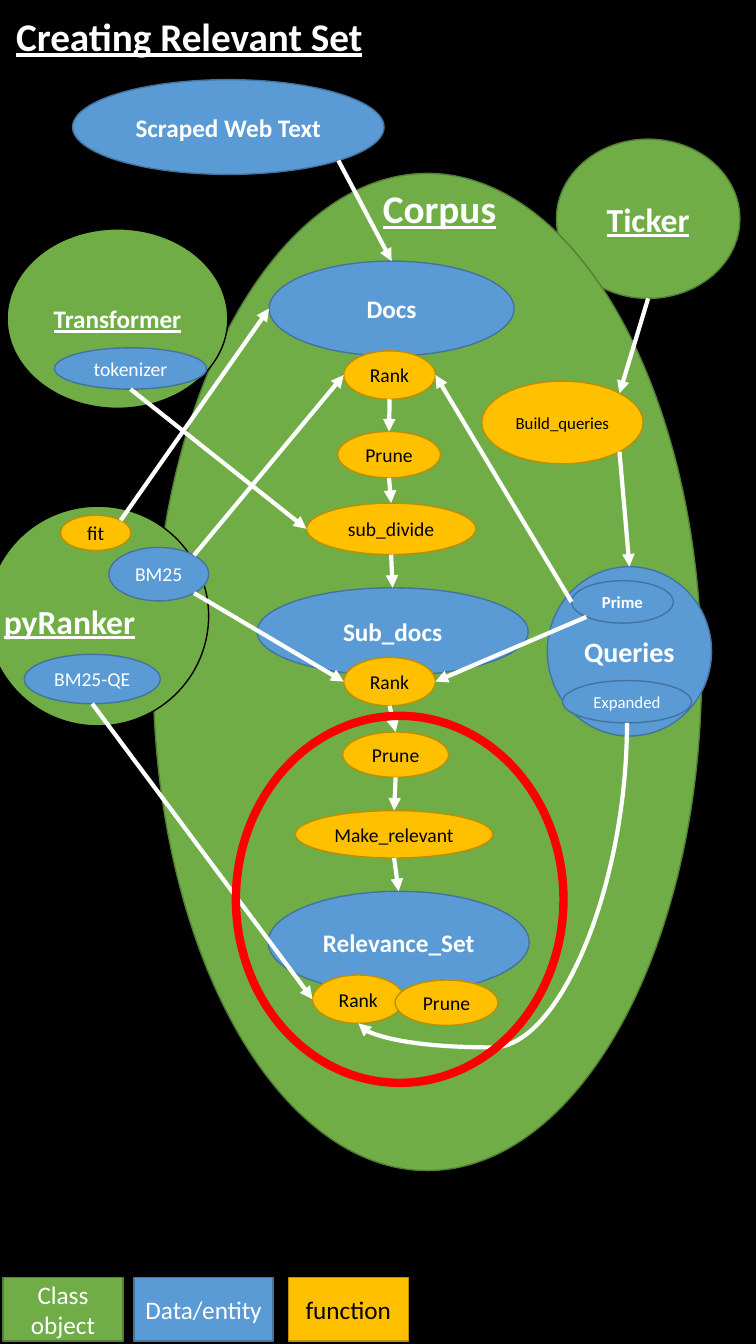
from dataclasses import dataclass
from math import sqrt

from lxml import etree
from pptx import Presentation
from pptx.dml.color import RGBColor
from pptx.enum.shapes import MSO_CONNECTOR, MSO_SHAPE
from pptx.enum.text import MSO_ANCHOR, MSO_AUTO_SIZE, PP_ALIGN
from pptx.oxml.ns import qn
from pptx.util import Inches, Pt

ELLIPSE, RECTANGLE = MSO_SHAPE.OVAL, MSO_SHAPE.RECTANGLE
STRAIGHT, CURVE = MSO_CONNECTOR.STRAIGHT, MSO_CONNECTOR.CURVE
CENTER, LEFT = PP_ALIGN.CENTER, PP_ALIGN.LEFT
TOP, MIDDLE = MSO_ANCHOR.TOP, MSO_ANCHOR.MIDDLE
TITLE_ONLY_LAYOUT = 5


@dataclass(frozen=True)
class Kind:
    fill: str
    line: str
    text: str


@dataclass(frozen=True)
class Theme:
    font: str = "Calibri"
    black: str = "000000"
    white: str = "FFFFFF"
    highlight: str = "FF0000"
    class_object: Kind = Kind("70AD47", "538035", "FFFFFF")
    outlined_class: Kind = Kind("70AD47", "000000", "FFFFFF")
    data: Kind = Kind("5B9BD5", "43739E", "FFFFFF")
    function: Kind = Kind("FFC000", "BD8E00", "000000")
    backdrop: Kind = Kind("000000", "000000", "FFFFFF")
    title_size: int = 28
    class_size: int = 24
    queries_size: int = 20
    entity_size: int = 18
    label_size: int = 14
    small_size: int = 12
    outline: int = 1
    arrow: int = 3
    ring: int = 6


THEME = Theme()
DATA, FUNCTION = THEME.data, THEME.function
CLASS, OUTLINED = THEME.class_object, THEME.outlined_class
ENTITY, LABEL, SMALL = THEME.entity_size, THEME.label_size, THEME.small_size

# name: (text, box, kind, size, style), from back to front; B is bold, U underlined
NODES = {
    "ticker": ("Ticker", (5.52, 1.38, 1.82, 1.58), CLASS, THEME.class_size, "BU"),
    "corpus": ("", (1.52, 1.72, 5.44, 9.89), CLASS, ENTITY, ""),
    "ranker": ("", (-0.13, 5.02, 2.2, 2.18), OUTLINED, ENTITY, ""),
    "fit": ("fit", (0.6, 5.11, 0.7, 0.35), FUNCTION, LABEL, ""),
    "docs": ("Docs", (2.67, 2.59, 2.43, 0.94), DATA, ENTITY, "B"),
    "sub_divide": ("sub_divide", (3.04, 4.99, 1.68, 0.51), FUNCTION, LABEL, ""),
    "sub_docs": ("Sub_docs", (2.55, 5.83, 2.69, 0.87), DATA, ENTITY, "B"),
    "relevance": ("Relevance_Set", (2.66, 8.84, 2.59, 1.01), DATA, ENTITY, "B"),
    "transformer": ("Transformer", (0.07, 2.27, 2.19, 1.78), OUTLINED, ENTITY, "BU"),
    "tokenizer": ("tokenizer", (0.54, 3.45, 1.51, 0.41), DATA, LABEL, ""),
    "rank_docs": ("Rank", (3.41, 3.48, 0.91, 0.48), FUNCTION, LABEL, ""),
    "prune_docs": ("Prune", (3.35, 4.28, 1.02, 0.46), FUNCTION, LABEL, ""),
    "rank_sub": ("Rank", (3.41, 6.52, 0.91, 0.48), FUNCTION, LABEL, ""),
    "prune_sub": ("Prune", (3.4, 7.26, 1.05, 0.45), FUNCTION, LABEL, ""),
    "rank_set": ("Rank", (3.1, 9.67, 0.91, 0.48), FUNCTION, LABEL, ""),
    "prune_set": ("Prune", (3.92, 9.72, 1.02, 0.45), FUNCTION, LABEL, ""),
    "make_relevant": ("Make_relevant", (2.93, 8.04, 1.96, 0.47), FUNCTION, LABEL, ""),
    "bm25": ("BM25", (1.08, 5.43, 0.99, 0.53), DATA, LABEL, ""),
    "bm25_qe": ("BM25-QE", (0.24, 6.49, 1.35, 0.49), DATA, LABEL, ""),
    "build": ("Build_queries", (4.78, 3.78, 1.6, 0.82), FUNCTION, SMALL, ""),
    "queries": ("Queries", (5.43, 5.62, 1.63, 1.68), DATA, THEME.queries_size, "B"),
    "prime": ("Prime", (5.67, 5.76, 1.01, 0.42), DATA, SMALL, "B"),
    "expanded": ("Expanded", (5.58, 6.75, 1.28, 0.42), DATA, SMALL, ""),
    "scraped": ("Scraped Web Text", (0.72, 0.79, 3.09, 0.94), DATA, ENTITY, "B"),
}

# Connection sites of an ellipse, as (index, horizontal, vertical) on a unit circle
DIAGONAL = sqrt(0.5)
SITES = {
    "top": (0, 0, -1),
    "left": (2, -1, 0),
    "bottom left": (3, -DIAGONAL, DIAGONAL),
    "bottom": (4, 0, 1),
    "bottom right": (5, DIAGONAL, DIAGONAL),
    "right": (6, 1, 0),
    "top right": (7, DIAGONAL, -DIAGONAL),
}

ARROWS = [
    ("scraped", "bottom right", "docs", "top"),
    ("fit", "top right", "docs", "left"),
    ("rank_docs", "bottom", "prune_docs", "top"),
    ("prune_docs", "bottom", "sub_divide", "top"),
    ("sub_divide", "bottom", "sub_docs", "top"),
    ("rank_sub", "bottom", "prune_sub", "top"),
    ("prune_sub", "bottom", "make_relevant", "top"),
    ("make_relevant", "bottom", "relevance", "top"),
    ("tokenizer", "bottom", "sub_divide", "left"),
    ("bm25", "top right", "rank_docs", "left"),
    ("bm25", "bottom right", "rank_sub", "left"),
    ("bm25_qe", "bottom", "rank_set", "left"),
    ("ticker", "bottom", "build", "top right"),
    ("build", "bottom right", "queries", "top"),
    ("prime", "left", "rank_docs", "right"),
    ("prime", "bottom left", "rank_sub", "right"),
]

LEGEND = [
    ("Class object", 0.03, 1.19, CLASS),
    ("Data/entity", 1.33, 1.38, DATA),
    ("function", 2.86, 1.19, FUNCTION),
]


def set_text(shape, text, size, color, style, alignment, anchor):
    frame = shape.text_frame
    frame.text = text
    frame.vertical_anchor = anchor
    paragraph = frame.paragraphs[0]
    paragraph.alignment = alignment
    for run in paragraph.runs:
        run.font.name = THEME.font
        run.font.size = Pt(size)
        run.font.color.rgb = RGBColor.from_string(color)
        run.font.bold = "B" in style
        run.font.underline = "U" in style


def set_line(line, color, width):
    line.color.rgb = RGBColor.from_string(color)
    line.width = Pt(width)


def add_block(slide, geometry, box, kind, text="", size=ENTITY, style=""):
    """Add a filled shape with centred text."""
    shape = slide.shapes.add_shape(geometry, *map(Inches, box))
    shape.shadow.inherit = False
    shape.fill.solid()
    shape.fill.fore_color.rgb = RGBColor.from_string(kind.fill)
    set_line(shape.line, kind.line, THEME.outline)
    if text:
        set_text(shape, text, size, kind.text, style, CENTER, MIDDLE)
        shape.text_frame.word_wrap = geometry == RECTANGLE
    return shape


def add_ring(slide, box):
    ring = slide.shapes.add_shape(ELLIPSE, *map(Inches, box))
    ring.shadow.inherit = False
    ring.fill.background()
    set_line(ring.line, THEME.highlight, THEME.ring)


def format_heading(shape, text, box, size):
    shape.left, shape.top, shape.width, shape.height = map(Inches, box)
    set_text(shape, text, size, THEME.white, "BU", LEFT, TOP)
    shape.text_frame.word_wrap = True
    shape.text_frame.auto_size = MSO_AUTO_SIZE.SHAPE_TO_FIT_TEXT


def add_heading(slide, text, box, size):
    format_heading(slide.shapes.add_textbox(0, 0, 0, 0), text, box, size)


def site_point(shape, site):
    _, horizontal, vertical = SITES[site]
    return (int(shape.left + shape.width * (1 + horizontal) / 2),
            int(shape.top + shape.height * (1 + vertical) / 2))


def add_arrow(slide, connector_type, start, end):
    arrow = slide.shapes.add_connector(connector_type, *start, *end)
    set_line(arrow.line, THEME.white, THEME.arrow)
    etree.SubElement(arrow.line._get_or_add_ln(), qn("a:tailEnd"), type="triangle")
    etree.SubElement(arrow.element.spPr, qn("a:effectLst"))
    return arrow


def link(slide, source, source_site, target, target_site):
    """Join two ellipses with a straight arrow glued at both ends."""
    arrow = add_arrow(slide, STRAIGHT, site_point(source, source_site),
                      site_point(target, target_site))
    properties = arrow.element.nvCxnSpPr.cNvCxnSpPr
    for glue, shape, site in ((properties.get_or_add_stCxn(), source, source_site),
                              (properties.get_or_add_endCxn(), target, target_site)):
        glue.id, glue.idx = shape.shape_id, SITES[site][0]


def add_return_curve(slide, source, target, bend):
    """Curve from the bottom of source to the bottom of target, a quarter turn round."""
    (x1, y1), (x2, y2) = site_point(source, "bottom"), site_point(target, "bottom")
    center_x, center_y = (x1 + x2) // 2, (y1 + y2) // 2
    half_width, half_height = abs(y2 - y1) // 2, abs(x2 - x1) // 2
    arrow = add_arrow(slide, CURVE,
                      (center_x - half_width, center_y - half_height),
                      (center_x + half_width, center_y + half_height))
    arrow.element.spPr.find(qn("a:xfrm")).set("rot", str(90 * 60000))
    adjustments = arrow.element.spPr.find(qn("a:prstGeom")).find(qn("a:avLst"))
    etree.SubElement(adjustments, qn("a:gd"), name="adj1", fmla=f"val {round(bend * 100000)}")


def main():
    presentation = Presentation()
    presentation.slide_width, presentation.slide_height = Inches(7.5), Inches(13.33)
    slide = presentation.slides.add_slide(presentation.slide_layouts[TITLE_ONLY_LAYOUT])

    title = slide.shapes.title
    format_heading(title, "Creating Relevant Set", (0.06, 0.07, 3.73, 0.57), THEME.title_size)
    backdrop = add_block(slide, RECTANGLE, (-0.04, 0, 7.53, 13.33), THEME.backdrop)
    title.element.addprevious(backdrop.element)

    nodes = {name: add_block(slide, ELLIPSE, box, kind, text, size, style)
             for name, (text, box, kind, size, style) in NODES.items()}
    add_heading(slide, "Corpus", (3.7, 1.78, 1.84, 0.57), THEME.title_size)
    add_heading(slide, "pyRanker", (-0.06, 5.91, 1.84, 0.5), THEME.class_size)

    for source, source_site, target, target_site in ARROWS:
        link(slide, nodes[source], source_site, nodes[target], target_site)
    add_return_curve(slide, nodes["expanded"], nodes["rank_set"], bend=1.08)
    add_ring(slide, (2.34, 7.1, 3.25, 3.64))

    for text, left, width, kind in LEGEND:
        add_block(slide, RECTANGLE, (left, 12.67, width, 0.63), kind, text)
    presentation.save("out.pptx")


if __name__ == "__main__":
    main()
